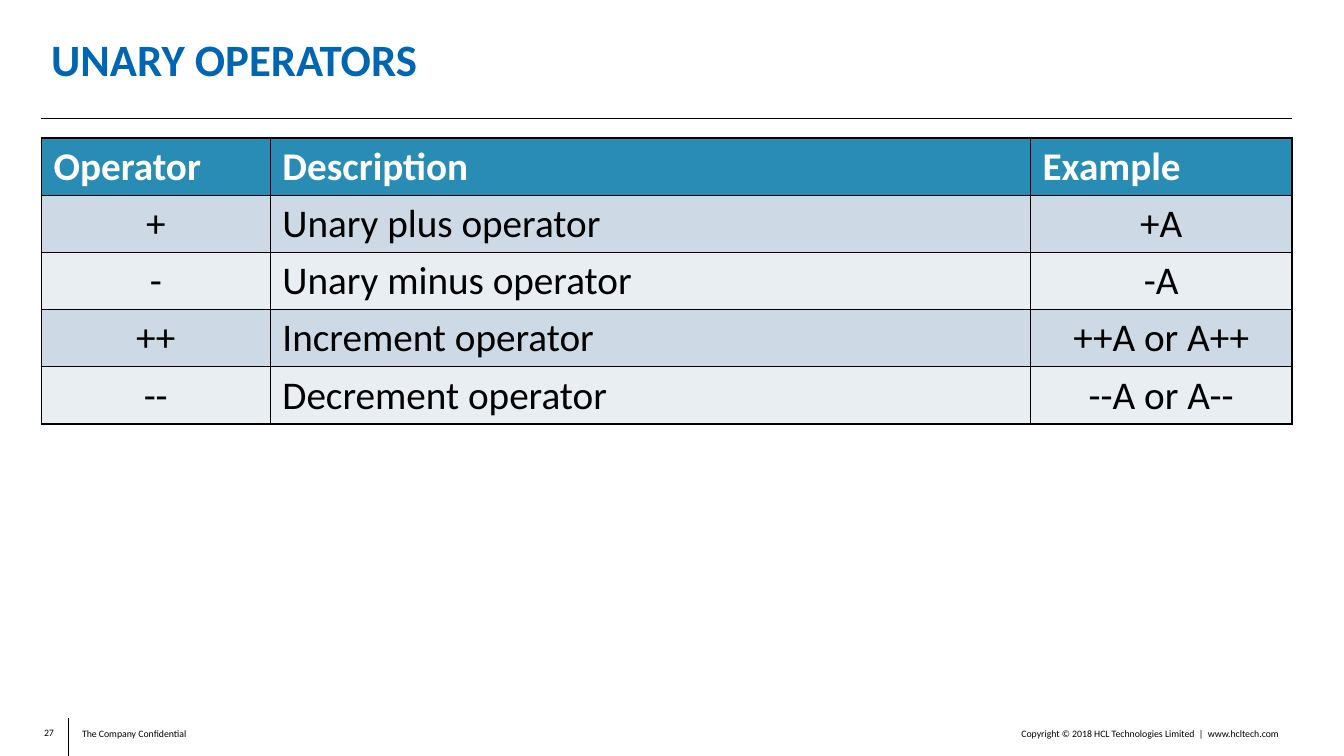
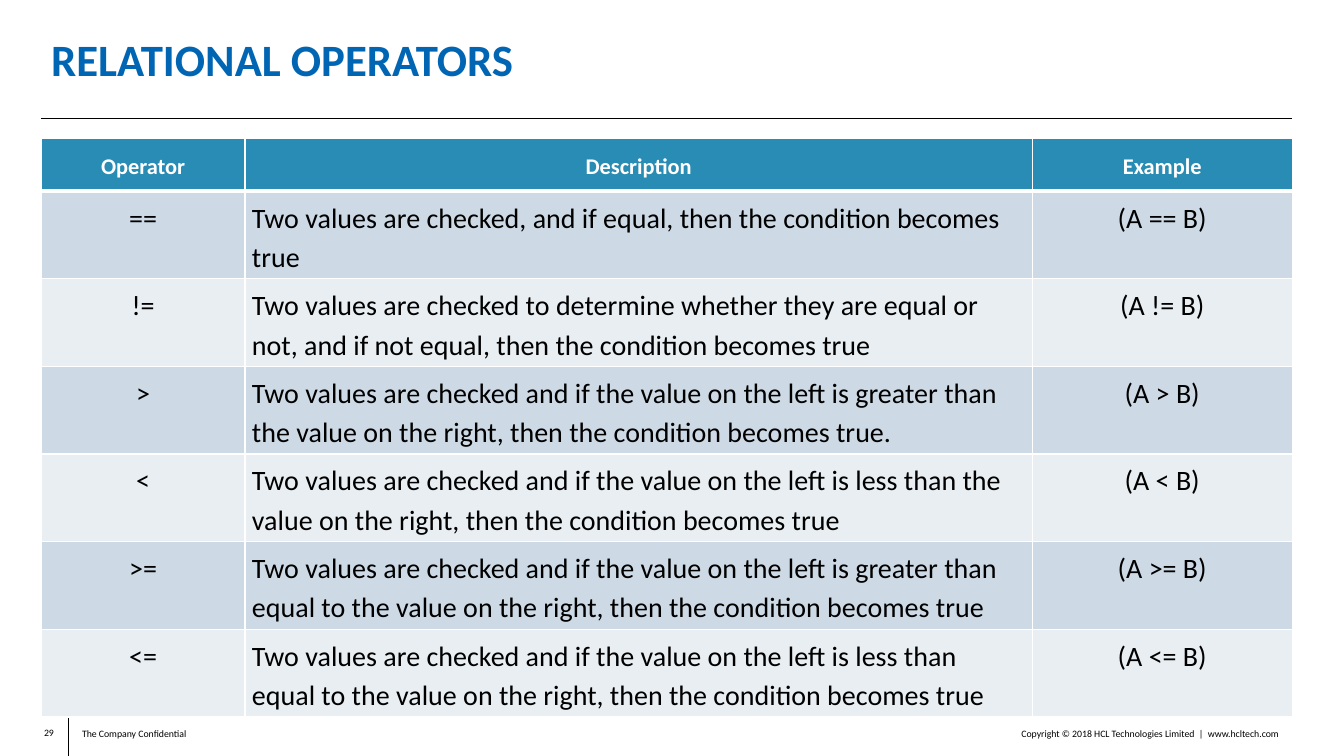
from lxml import etree
from pptx import Presentation
from pptx.dml.color import RGBColor
from pptx.enum.shapes import MSO_CONNECTOR
from pptx.enum.text import MSO_ANCHOR, PP_ALIGN
from pptx.oxml.ns import qn
from pptx.util import Pt

LEFT, CENTER, RIGHT = PP_ALIGN.LEFT, PP_ALIGN.CENTER, PP_ALIGN.RIGHT
TOP, MIDDLE = MSO_ANCHOR.TOP, MSO_ANCHOR.MIDDLE
STRAIGHT = MSO_CONNECTOR.STRAIGHT

FONT = "Calibri"
BLACK, WHITE, BLUE, TEAL = "000000", "FFFFFF", "0066B3", "288CB4"
BANDS = ("CDDAE5", "E8EEF2")
EDGE = 29.5  # shared left margin
WIDE = 893.5  # width of rule and tables


def color(code):
    return RGBColor.from_string(code)


class Deck:
    def __init__(self):
        self.prs = Presentation()
        self.prs.slide_width, self.prs.slide_height = Pt(960), Pt(540)
        self.slide = None

    def style(self, par, size, ink, bold=False, align=LEFT, space=1.0):
        par.alignment, par.line_spacing = align, space
        for run in par.runs:
            font = run.font
            font.name, font.size, font.bold = FONT, Pt(size), bold
            font.color.rgb = color(ink)

    def text(self, box, words, size, ink=BLACK, bold=False, align=LEFT,
             anchor=TOP, pad=(7.2, 3.6), wrap=True, space=1.0):
        frame = self.slide.shapes.add_textbox(*map(Pt, box)).text_frame
        frame.text = words
        frame.word_wrap, frame.vertical_anchor = wrap, anchor
        frame.margin_left = frame.margin_right = Pt(pad[0])
        frame.margin_top = frame.margin_bottom = Pt(pad[1])
        self.style(frame.paragraphs[0], size, ink, bold, align, space)

    def line(self, *ends):
        line = self.slide.shapes.add_connector(STRAIGHT, *map(Pt, ends))
        line.line.color.rgb, line.line.width = color(BLACK), Pt(0.5)
        etree.SubElement(line._element.spPr, qn("a:effectLst"))

    def page(self, title, number):
        self.slide = self.prs.slides.add_slide(self.prs.slide_layouts[6])
        # Footer
        self.text((EDGE, 519, 9, 8), str(number), 7, align=RIGHT,
                  anchor=MIDDLE, pad=(0, 0), wrap=False)
        self.line(49, 513, 49, 540)
        self.text((559.5, 516, 361, 15),
                  "Copyright © 2018 HCL Technologies Limited  |  www.hcltech.com",
                  7, align=RIGHT)
        self.text((51.5, 516, 229, 14), "The Company Confidential", 7)
        # Title and rule
        self.line(EDGE, 84.5, EDGE + WIDE, 84.5)
        self.text((EDGE, 20, 825, 48), title, 32, BLUE, True,
                  anchor=MIDDLE, space=0.9)

    def border(self, cell, ink, above, below):
        props = cell._tc.get_or_add_tcPr()
        for side, width in zip("LRTB", (1, 1, above, below)):
            edge = etree.SubElement(props, qn("a:ln" + side), w=str(Pt(width)))
            fill = etree.SubElement(edge, qn("a:solidFill"))
            etree.SubElement(fill, qn("a:srgbClr"), val=ink)

    def table(self, rows, cols, heights, sizes, pad, ink, rule=1,
              aligns=(LEFT,) * 3, anchor=TOP, space=1.0):
        """Heights and sizes are pairs: head row, body rows."""
        tall = heights[0] + heights[1] * (len(rows) - 1)
        grid = self.slide.shapes.add_table(
            len(rows), len(cols), Pt(EDGE), Pt(98.6), Pt(WIDE), Pt(tall)).table
        grid.first_row = grid.horz_banding = False
        for col, width in zip(grid.columns, cols):
            col.width = Pt(width)
        for r, row in enumerate(rows):
            head = r == 0
            grid.rows[r].height = Pt(heights[not head])
            for c, words in enumerate(row):
                cell = grid.cell(r, c)
                self.border(cell, ink, rule if r == 1 else 1,
                            rule if head else 1)
                cell.fill.solid()
                cell.fill.fore_color.rgb = color(
                    TEAL if head else BANDS[(r - 1) % 2])
                cell.margin_left = cell.margin_right = Pt(pad)
                cell.margin_top = cell.margin_bottom = Pt(3.6)
                cell.vertical_anchor = anchor if head else TOP
                cell.text_frame.text = words
                align = aligns[c] if head else (CENTER, LEFT, CENTER)[c]
                self.style(cell.text_frame.paragraphs[0], sizes[not head],
                           WHITE if head else BLACK, head, align, space)


HEAD = ("Operator", "Description", "Example")
UNARY = (
    HEAD,
    ("+", "Unary plus operator", "+A"),
    ("-", "Unary minus operator", "-A"),
    ("++", "Increment operator", "++A or A++"),
    ("--", "Decrement operator", "--A or A--"),
)
TESTS = (
    ("==", "Two values are checked, and if equal, then the condition becomes true"),
    ("!=", "Two values are checked to determine whether they are equal or not, "
           "and if not equal, then the condition becomes true"),
    (">", "Two values are checked and if the value on the left is greater than "
          "the value on the right, then the condition becomes true."),
    ("<", "Two values are checked and if the value on the left is less than "
          "the value on the right, then the condition becomes true"),
    (">=", "Two values are checked and if the value on the left is greater than "
           "equal to the value on the right, then the condition becomes true"),
    ("<=", "Two values are checked and if the value on the left is less than "
           "equal to the value on the right, then the condition becomes true"),
)


def main():
    deck = Deck()

    # Unary operators
    deck.page("UNARY OPERATORS", 27)
    deck.table(UNARY, (163.5, 543, 187), (40.8, 40.8), (28, 28), 8.8, BLACK)

    # Relational operators
    deck.page("RELATIONAL OPERATORS", 29)
    rows = [HEAD] + [(sign, words, f"(A {sign} B)") for sign, words in TESTS]
    deck.table(rows, (145.5, 562.5, 185.5), (38, 62.6), (16, 20), 5, WHITE,
               rule=3, aligns=(CENTER,) * 3, anchor=MIDDLE, space=1.15)

    deck.prs.save("out.pptx")


if __name__ == "__main__":
    main()
